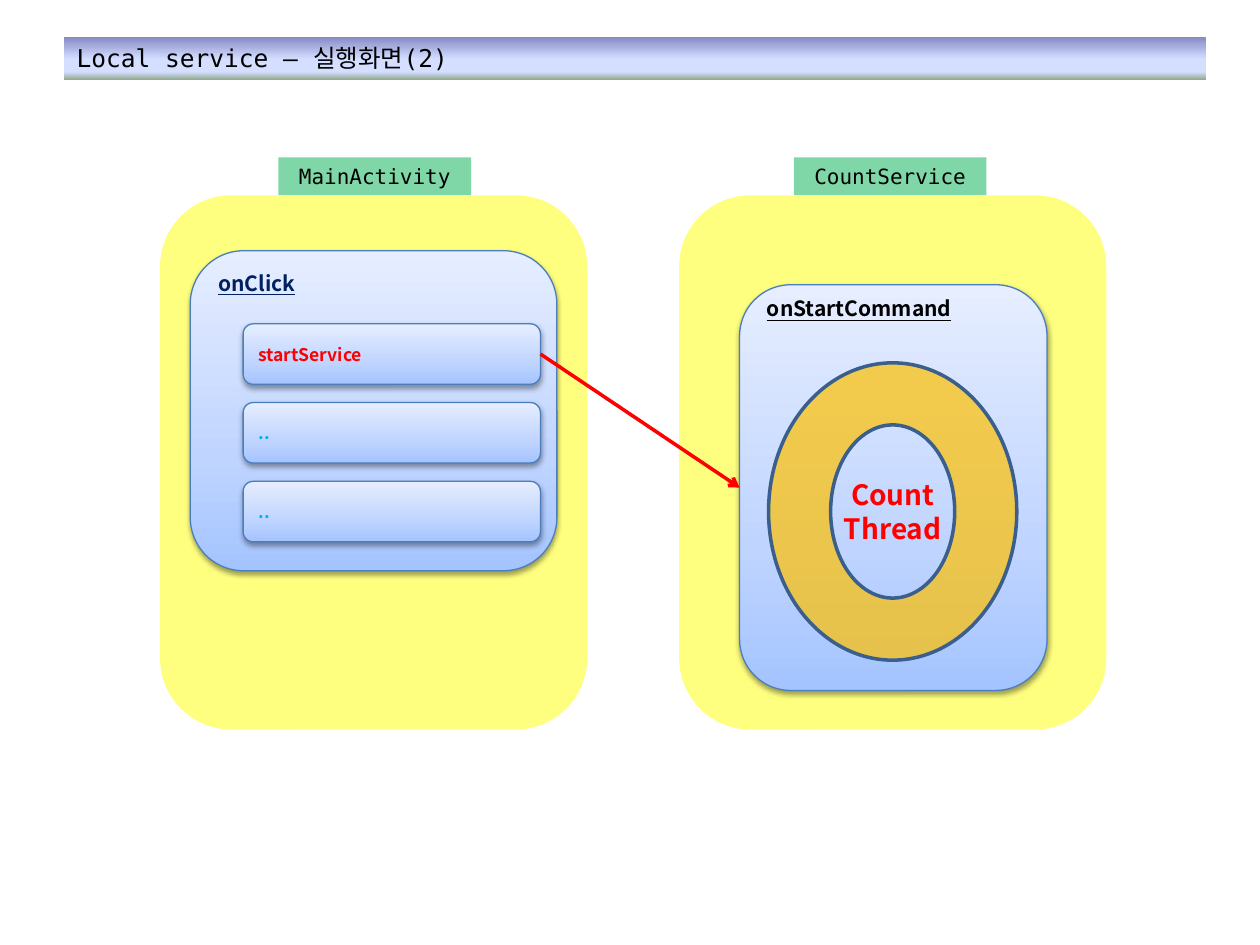
from lxml import etree
from pptx import Presentation
from pptx import util as u
from pptx.dml import color
from pptx.enum import shapes, text
from pptx.oxml import ns

MONO, SANS = "DejaVu Sans Mono", "Noto Sans CJK KR"
TITLE_STOPS = [(0, "8488C4"), (53, "D4DEFF"), (83, "D4DEFF"), (100, "96AB94")]
BLUE_STOPS = [(0, "A4C4FF"), (35, "BFD4FF"), (100, "E6EEFF")]
RECT, ROUND, DONUT = (shapes.MSO_SHAPE.RECTANGLE, shapes.MSO_SHAPE.ROUNDED_RECTANGLE,
                      shapes.MSO_SHAPE.DONUT)
TOP, MIDDLE = text.MSO_ANCHOR.TOP, text.MSO_ANCHOR.MIDDLE
LEFT, CENTER = text.PP_ALIGN.LEFT, text.PP_ALIGN.CENTER


def rgb(value):
    return color.RGBColor.from_string(value)


def add_block(kind, at, fill, alpha=100, angle=90, line=None, width=0.75, shadow=False,
              words="", size=12, font=SANS, ink="000000", bold=False, underline=False,
              align=LEFT, anchor=MIDDLE, inset=0.05):
    """Add a shape; fill is a hex colour or a list of (percent, hex) stops."""
    shape = page.shapes.add_shape(kind, *[u.Inches(value) for value in at])
    shape.shadow.inherit = False
    if isinstance(fill, str):
        shape.fill.solid()
        shape.fill.fore_color.rgb = rgb(fill)
        if alpha < 100:
            paint = shape.fill._xPr.find(".//" + ns.qn("a:srgbClr"))
            etree.SubElement(paint, ns.qn("a:alpha"), val=str(alpha * 1000))
    else:
        shape.fill.gradient()
        shape.fill.gradient_angle = angle
        stops = shape.fill._xPr.find(".//" + ns.qn("a:gsLst"))
        for stop in list(stops):
            stops.remove(stop)
        for percent, value in fill:
            stop = etree.SubElement(stops, ns.qn("a:gs"), pos=str(percent * 1000))
            etree.SubElement(stop, ns.qn("a:srgbClr"), val=value)
    if line:
        shape.line.color.rgb = rgb(line)
        shape.line.width = u.Pt(width)
    else:
        shape.line.fill.background()
    if shadow:
        effects = shape._element.spPr.find(ns.qn("a:effectLst"))
        outer = etree.SubElement(effects, ns.qn("a:outerShdw"), blurRad=str(u.Pt(3.1)),
                                 dist=str(u.Pt(1.6)), dir="5400000", rotWithShape="0")
        shade = etree.SubElement(outer, ns.qn("a:srgbClr"), val="000000")
        etree.SubElement(shade, ns.qn("a:alpha"), val="38000")
    if words:
        box = shape.text_frame
        box.word_wrap = True
        box.vertical_anchor = anchor
        box.margin_top = u.Inches(inset)
        para = box.paragraphs[0]
        para.alignment = align
        span = para.add_run()
        span.text = words
        span.font.name = font
        span.font.size = u.Pt(size)
        span.font.bold = bold
        span.font.underline = underline
        span.font.color.rgb = rgb(ink)
    return shape


deck = Presentation()
deck.slide_width, deck.slide_height = u.Inches(10), u.Inches(7.5)
page = deck.slides.add_slide(deck.slide_layouts[6])
blue = dict(fill=BLUE_STOPS, line="4B7EBC", shadow=True, bold=True)

# Title bar
add_block(RECT, (0.51, 0.29, 9.06, 0.34), TITLE_STOPS, angle=270,
          words="Local service – 실행화면(2)", size=14, font=MONO)

# Component panels
for left in (1.27, 5.39):
    add_block(ROUND, (left, 1.55, 3.39, 4.24), "FFFF00", alpha=50)

# Callback methods
command = add_block(ROUND, (5.87, 2.26, 2.44, 3.22), words="onStartCommand",
                    underline=True, anchor=TOP, inset=-0.03, **blue)
add_block(ROUND, (1.51, 1.99, 2.91, 2.54), words="onClick", ink="002060",
          underline=True, anchor=TOP, inset=0.03, **blue)

# Statements inside onClick
statements = [("startService", "FF0000"), ("..", "00B0F0"), ("..", "00B0F0")]
rows = [add_block(ROUND, (1.93, 2.57 + 0.625 * index, 2.36, 0.48),
                  words=words, size=10, ink=ink, **blue)
        for index, (words, ink) in enumerate(statements)]

# Call from startService to onStartCommand
call = page.shapes.add_connector(shapes.MSO_CONNECTOR.STRAIGHT, 0, 0, 0, 0)
call.begin_connect(rows[0], 3)
call.end_connect(command, 1)
call.line.color.rgb = rgb("FF0000")
call.line.width = u.Pt(2)
etree.SubElement(call.line._get_or_add_ln(), ns.qn("a:tailEnd"), type="arrow")
etree.SubElement(call._element.spPr, ns.qn("a:effectLst"))

# Component names
for left, name in ((2.21, "MainActivity"), (6.3, "CountService")):
    add_block(RECT, (left, 1.25, 1.53, 0.3), "00B050", alpha=50,
              words=name, font=MONO, align=CENTER)

# Worker thread
add_block(DONUT, (6.1, 2.88, 1.97, 2.36), "FFC000", alpha=70, line="3A5F8C", width=2,
          words="Count Thread", size=16, ink="FF0000", bold=True, align=CENTER)

deck.save("out.pptx")
